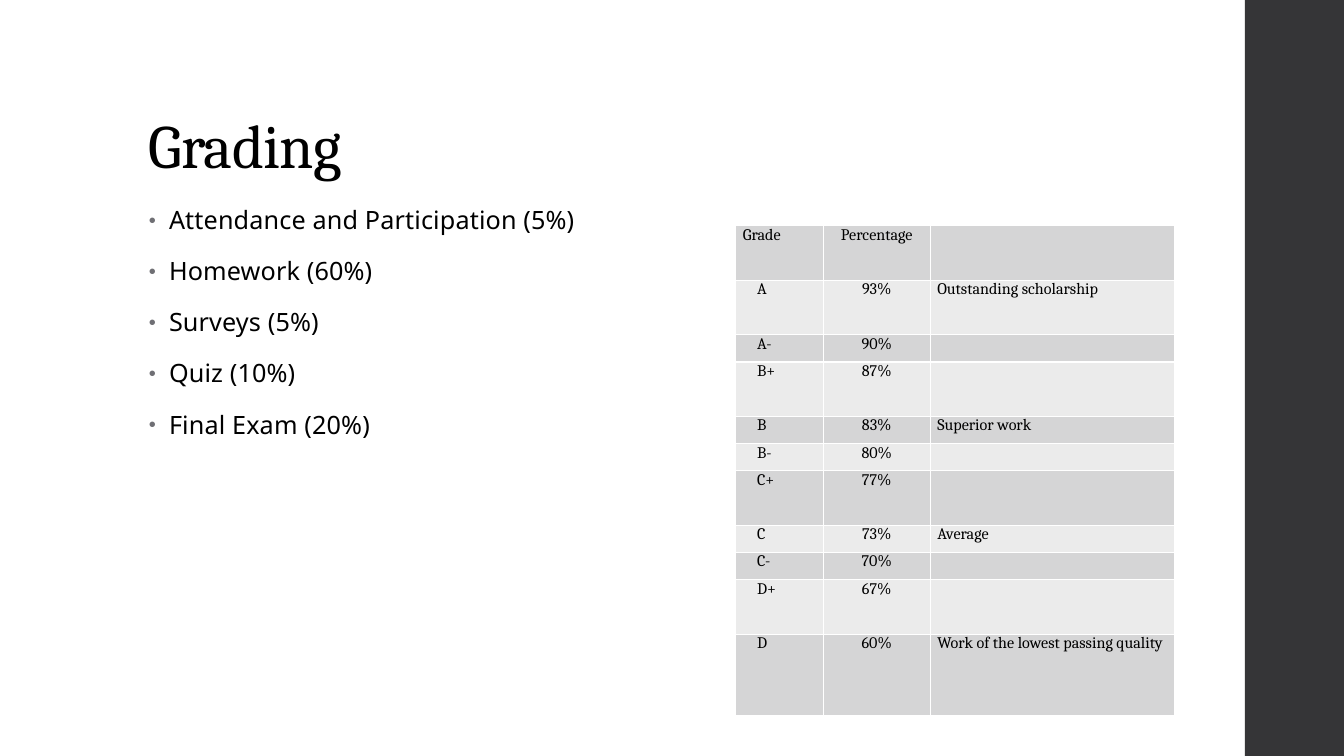
from pptx import Presentation
from pptx.dml.color import RGBColor
from pptx.enum.shapes import MSO_SHAPE
from pptx.enum.text import MSO_ANCHOR, PP_ALIGN
from pptx.oxml import parse_xml
from pptx.oxml.ns import nsdecls
from pptx.util import Cm, Pt

RECTANGLE = MSO_SHAPE.RECTANGLE
BOTTOM = MSO_ANCHOR.BOTTOM
LEFT, CENTER = PP_ALIGN.LEFT, PP_ALIGN.CENTER
HEADING_FONT, BODY_FONT = "Cambria", "Noto Sans"
BLACK, WHITE, SIDEBAR_GRAY, BULLET_GRAY = "000000", "FFFFFF", "353537", "6F6F74"
BANDS = ["D5D5D6", "EBEBEB"]


def rgb(hex_color):
    return RGBColor.from_string(hex_color)


def add_run(paragraph, text, font_name, size, spacing=0):
    """Add a black run; spacing is in hundredths of a point between letters."""
    run = paragraph.add_run()
    run.text = text
    run.font.name = font_name
    run.font.size = Pt(size)
    run.font.color.rgb = rgb(BLACK)
    if spacing:
        run.font._element.set("spc", str(spacing))


prs = Presentation()
prs.slide_width, prs.slide_height = Cm(33.87), Cm(19.05)
slide = prs.slides.add_slide(prs.slide_layouts[6])

# Sidebar
sidebar = slide.shapes.add_shape(RECTANGLE, Cm(31.37), 0, Cm(2.5), prs.slide_height)
sidebar.shadow.inherit = False
sidebar.fill.solid()
sidebar.fill.fore_color.rgb = rgb(SIDEBAR_GRAY)
sidebar.line.fill.background()

# Title
title = slide.shapes.add_textbox(Cm(3.5), Cm(1.02), Cm(26.92), Cm(3.68)).text_frame
title.word_wrap = True
title.vertical_anchor = BOTTOM
title.paragraphs[0].line_spacing = 0.9
add_run(title.paragraphs[0], "Grading", HEADING_FONT, 44, -50)

# Graded components
components = [
    "Attendance and Participation (5%)",
    "Homework (60%)",
    "Surveys (5%)",
    "Quiz (10%)",
    "Final Exam (20%)",
]
component_list = slide.shapes.add_textbox(Cm(3.5), Cm(5.08), Cm(12.45), Cm(12.09)).text_frame
component_list.word_wrap = True
for index, component in enumerate(components):
    paragraph = component_list.paragraphs[0] if index == 0 else component_list.add_paragraph()
    properties = paragraph._p.get_or_add_pPr()
    properties.set("marL", str(Cm(0.51)))
    properties.set("indent", str(-Cm(0.51)))
    for bullet_part in (
        f'<a:buClr {nsdecls("a")}><a:srgbClr val="{BULLET_GRAY}"/></a:buClr>',
        f'<a:buSzPct {nsdecls("a")} val="80000"/>',
        f'<a:buFont {nsdecls("a")} typeface="Arial"/>',
        f'<a:buChar {nsdecls("a")} char="•"/>',
    ):
        properties.append(parse_xml(bullet_part))
    paragraph.line_spacing = 0.95
    paragraph.space_before = Pt(14 if index else 0)
    paragraph.space_after = Pt(2)
    add_run(paragraph, component, BODY_FONT, 18, 10)

# Grade scale: grade, percentage, meaning, height in lines
grade_scale = [
    ("Grade", "Percentage", "", 2),
    ("A", "93%", "Outstanding scholarship", 2),
    ("A-", "90%", "", 1),
    ("B+", "87%", "", 2),
    ("B", "83%", "Superior work", 1),
    ("B-", "80%", "", 1),
    ("C+", "77%", "", 2),
    ("C", "73%", "Average", 1),
    ("C-", "70%", "", 1),
    ("D+", "67%", "", 2),
    ("D", "60%", "Work of the lowest passing quality", 3),
]
column_widths = [2.21, 2.69, 6.17]
line_height = 0.686
total_lines = sum(row[-1] for row in grade_scale)
scale_table = slide.shapes.add_table(
    len(grade_scale), len(column_widths), Cm(18.54), Cm(5.69),
    Cm(sum(column_widths)), Cm(line_height * total_lines),
).table
for column, width in zip(scale_table.columns, column_widths):
    column.width = Cm(width)

for row_index, (*texts, lines) in enumerate(grade_scale):
    scale_table.rows[row_index].height = Cm(line_height * lines)
    for column_index, text in enumerate(texts):
        cell = scale_table.cell(row_index, column_index)
        is_letter = row_index > 0 and column_index == 0
        cell.margin_left = Cm(0.54 if is_letter else 0.18)
        cell.margin_right = Cm(0.18)
        cell.margin_top = cell.margin_bottom = 0
        cell_properties = cell._tc.get_or_add_tcPr()
        for side in ("lnL", "lnR", "lnT", "lnB"):
            cell_properties.append(parse_xml(
                f'<a:{side} {nsdecls("a")} w="{Pt(1)}"><a:solidFill>'
                f'<a:srgbClr val="{WHITE}"/></a:solidFill></a:{side}>'
            ))
        cell.fill.solid()
        cell.fill.fore_color.rgb = rgb(BANDS[row_index % 2])
        paragraph = cell.text_frame.paragraphs[0]
        paragraph.alignment = CENTER if column_index == 1 else LEFT
        if text:
            add_run(paragraph, text, HEADING_FONT, 11.5)
        else:  # keeps an empty cell from stretching its row
            paragraph._p.append(parse_xml(f'<a:endParaRPr {nsdecls("a")} sz="1150"/>'))

prs.save("out.pptx")
